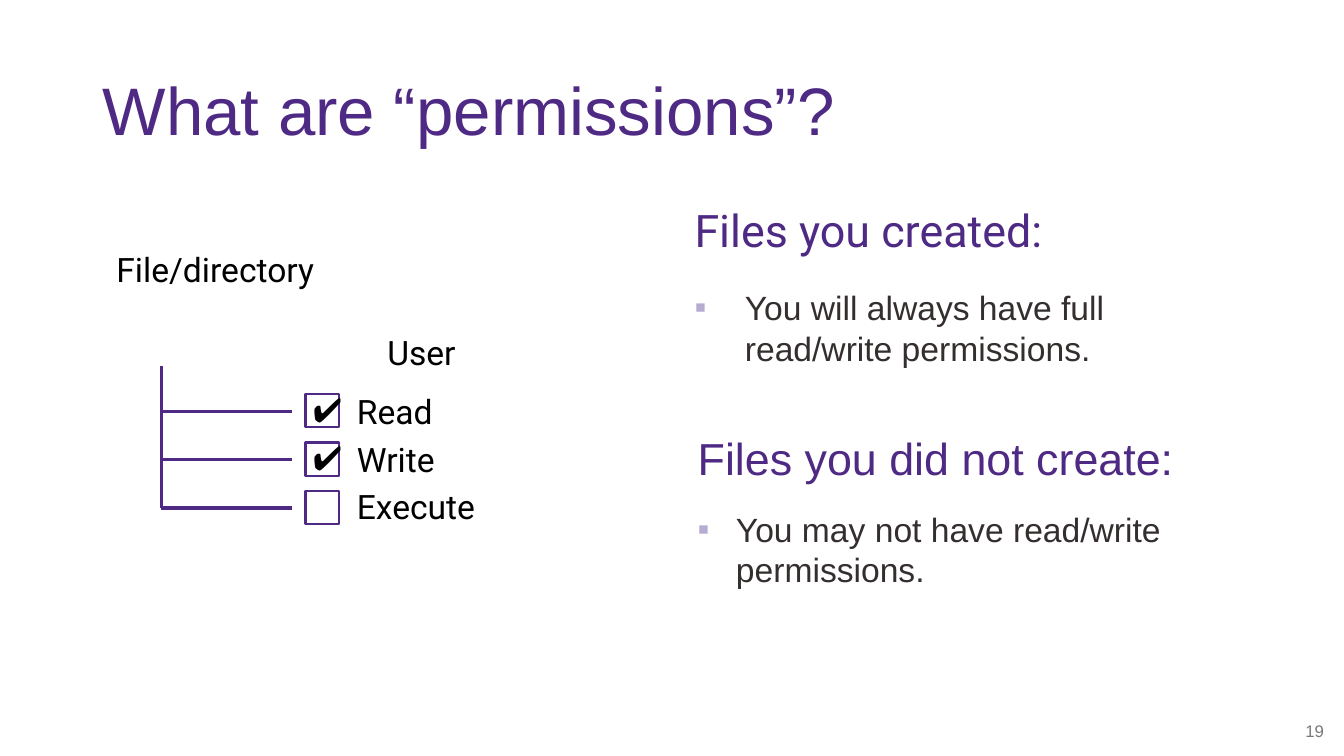
from lxml import etree
from pptx import Presentation
from pptx.dml.color import RGBColor
from pptx.enum.shapes import MSO_CONNECTOR, MSO_SHAPE
from pptx.enum.text import MSO_ANCHOR, PP_ALIGN
from pptx.oxml.ns import qn
from pptx.util import Inches, Pt

PURPLE = RGBColor(0x4E, 0x2A, 0x84)
LILAC = RGBColor(0xB6, 0xAC, 0xD1)
DARK = RGBColor(0x34, 0x2F, 0x2E)
GREY = RGBColor(0x79, 0x79, 0x79)
BLACK = RGBColor(0, 0, 0)
WHITE = RGBColor(0xFF, 0xFF, 0xFF)

LEFT, CENTER, RIGHT = PP_ALIGN.LEFT, PP_ALIGN.CENTER, PP_ALIGN.RIGHT
TOP, MIDDLE = MSO_ANCHOR.TOP, MSO_ANCHOR.MIDDLE
STRAIGHT, RECT = MSO_CONNECTOR.STRAIGHT, MSO_SHAPE.RECTANGLE

NARROW = (0.1, 0.05)
WIDE = (0.13, 0.07)


class SlideBuilder:
    """Holds the style and the slide being built."""

    sans, label_font = "Arial", "Roboto"

    def __init__(self, prs):
        self.slide = prs.slides.add_slide(prs.slide_layouts[5])

    def fill_text(self, sp, text, size, color, font, align=LEFT, anchor=TOP,
                  inset=NARROW, wrap=True, spacing=None, indent=None):
        tf = sp.text_frame
        tf.word_wrap = wrap
        tf.vertical_anchor = anchor
        tf.margin_left = tf.margin_right = Inches(inset[0])
        tf.margin_top = tf.margin_bottom = Inches(inset[1])
        p = tf.paragraphs[0]
        p.alignment = align
        if spacing:
            p.line_spacing = spacing
        if indent:
            self.bullet(p, indent)
        r = p.add_run()
        r.text = text
        r.font.size = Pt(size)
        r.font.name = font
        r.font.color.rgb = color

    def bullet(self, p, indent):
        pPr = p._p.get_or_add_pPr()
        pPr.set("marL", str(Inches(indent)))
        pPr.set("indent", str(-Inches(indent)))
        clr = etree.SubElement(pPr, qn("a:buClr"))
        etree.SubElement(clr, qn("a:srgbClr")).set("val", str(LILAC))
        etree.SubElement(pPr, qn("a:buFont")).set("typeface", self.sans)
        etree.SubElement(pPr, qn("a:buChar")).set("char", "▪")

    def title(self, text, x, y, w, h):
        sp = self.slide.shapes.title
        sp.left, sp.top, sp.width, sp.height = map(Inches, (x, y, w, h))
        self.fill_text(sp, text, 48, PURPLE, self.sans, anchor=MIDDLE, spacing=0.9)

    def text(self, text, x, y, w, h, size=24, color=BLACK, font=label_font, **style):
        sp = self.slide.shapes.add_textbox(*map(Inches, (x, y, w, h)))
        self.fill_text(sp, text, size, color, font, **style)

    def line(self, x1, y1, x2, y2):
        cn = self.slide.shapes.add_connector(STRAIGHT, *map(Inches, (x1, y1, x2, y2)))
        cn.line.color.rgb = PURPLE
        cn.line.width = Pt(2.25)
        etree.SubElement(cn._element.spPr, qn("a:effectLst"))

    def checkbox(self, x, y, size):
        sp = self.slide.shapes.add_shape(RECT, *map(Inches, (x, y, size, size)))
        sp.shadow.inherit = False
        sp.fill.solid()
        sp.fill.fore_color.rgb = WHITE
        sp.line.color.rgb = PURPLE
        sp.line.width = Pt(1.5)


def main():
    prs = Presentation()
    prs.slide_width, prs.slide_height = Inches(13.33), Inches(7.5)
    s = SlideBuilder(prs)

    s.title("What are “permissions”?", 0.92, 0.4, 11.5, 1.45)

    # Permission tree
    s.text("File/directory", 0.9, 2.4, 2.47, 0.54, align=CENTER, inset=WIDE)
    s.text("User", 3.59, 3.22, 1.18, 0.54, align=CENTER, inset=WIDE)
    s.line(1.6, 3.63, 1.6, 5.04)
    permissions = [("Read", True), ("Write", True), ("Execute", False)]
    for i, (name, granted) in enumerate(permissions):
        y = 4.08 + 0.48 * i
        s.line(1.6, y, 2.9, y)
        s.checkbox(3.03, y - 0.17, 0.33)
        s.text(name, 3.41, 3.81 + 0.47 * i, 2.29, 0.54, inset=WIDE)
        if granted:
            s.text("✔️", 2.98, y - 0.27, 0.54, 0.5, align=CENTER, wrap=False)

    # Explanations: heading with a bullet below
    sections = [
        (2.02, "Files you created:", s.label_font, 0.9, NARROW, 0.5,
         "You will always have full read/write permissions."),
        (4.2, "Files you did not create:", s.sans, None, WIDE, 0.38,
         "You may not have read/write permissions."),
    ]
    for y, heading, font, spacing, inset, indent, point in sections:
        s.text(heading, 6.79, y, 5.63, 0.64, 32, PURPLE, font,
               inset=inset, spacing=spacing)
        s.text(point, 6.79, y + 0.78, 5.63, 1.28, 24, DARK, s.sans,
               inset=inset, indent=indent)

    # Slide number
    s.text("19", 10.12, 7.05, 3.11, 0.4, 12, GREY, s.sans, align=RIGHT, anchor=MIDDLE)

    prs.save("out.pptx")


if __name__ == "__main__":
    main()
